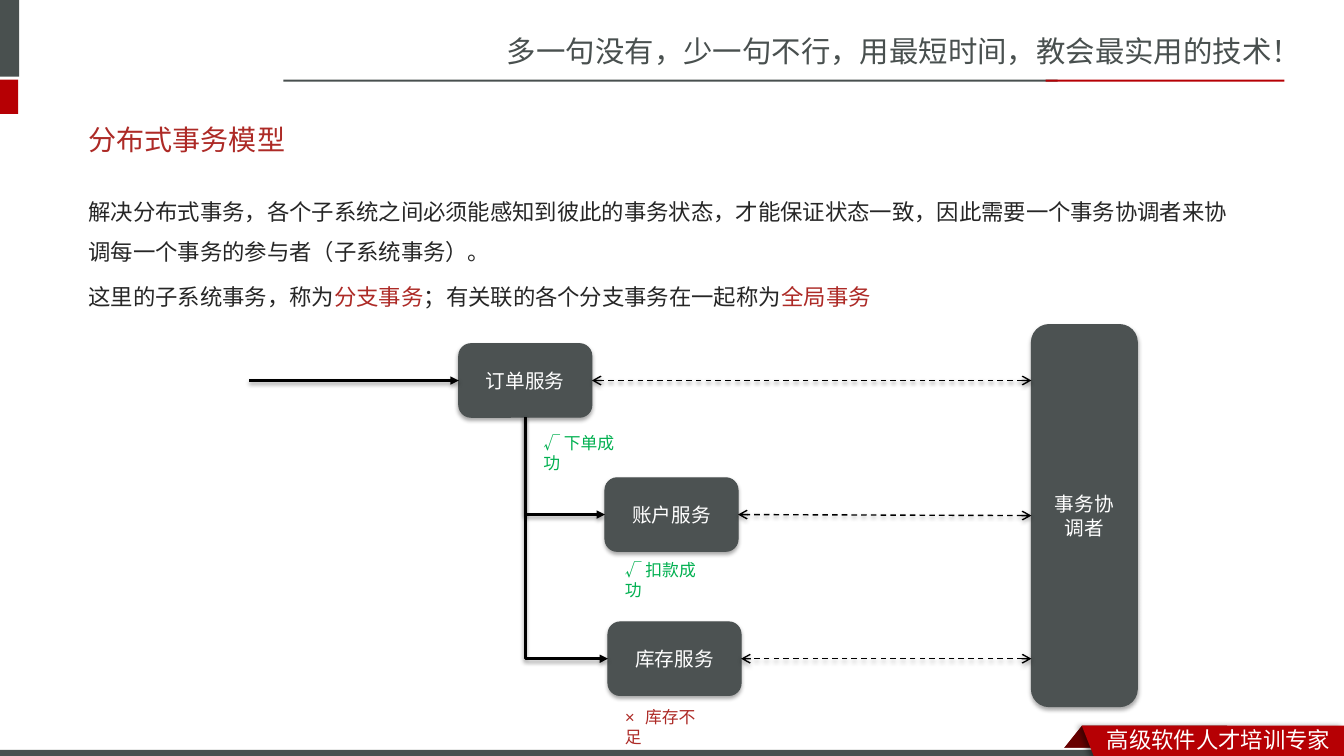
from typing import NamedTuple

from lxml.etree import SubElement
from pptx import Presentation
from pptx.dml.color import RGBColor
from pptx.enum.dml import MSO_LINE
from pptx.enum.shapes import MSO_CONNECTOR, MSO_SHAPE
from pptx.enum.text import MSO_ANCHOR, PP_ALIGN
from pptx.oxml.ns import qn
from pptx.util import Inches, Pt

WHITE = RGBColor(0xFF, 0xFF, 0xFF)
BLACK = RGBColor(0, 0, 0)
SLATE = RGBColor(0x49, 0x50, 0x4F)
STEEL = RGBColor(0x4C, 0x52, 0x52)
RED = RGBColor(0xB6, 0x00, 0x04)
DARK = RGBColor(0x68, 0x00, 0x00)
BRICK = RGBColor(0xAD, 0x2A, 0x26)
GREEN = RGBColor(0x00, 0xB0, 0x50)
INK = RGBColor(0x26, 0x26, 0x26)
SANS, SANS_JP = "Noto Sans CJK SC", "Noto Sans CJK JP"
MONO = "Courier New"


class Box(NamedTuple):
    left: float
    top: float
    width: float
    height: float

    @property
    def right(self) -> float:
        return self.left + self.width

    @property
    def mid(self) -> float:
        return self.top + self.height / 2

    def emu(self) -> list:
        return [Inches(v) for v in self]


class Bar(NamedTuple):
    box: Box
    color: RGBColor


class Label(NamedTuple):
    text: str
    box: Box
    size: int
    font: str
    color: RGBColor


class Node(NamedTuple):
    text: str
    box: Box


BARS = [
    Bar(Box(0, 7.42, 13.33, 0.11), WHITE),
    Bar(Box(-0.06, 0, 0.25, 0.76), SLATE),
    Bar(Box(-0.06, 0.79, 0.24, 0.34), RED),
    Bar(Box(2.81, 0.79, 7.68, 0.02), SLATE),
    Bar(Box(10.37, 0.79, 2.37, 0.02), RED),
    Bar(Box(0, 7.44, 10.99, 0.09), SLATE),
]
LABELS = [
    Label("多一句没有，少一句不行，用最短时间，教会最实用的技术！",
          Box(4.93, 0.28, 8.41, 0.47), 21, SANS, SLATE),
    Label("高级软件人才培训专家", Box(10.88, 7.15, 2.45, 0.37), 16, SANS, WHITE),
    Label("√ 下单成功", Box(5.29, 4.24, 1.06, 0.3), 12, MONO, GREEN),
    Label("√ 扣款成功", Box(6.1, 5.5, 1.06, 0.3), 12, MONO, GREEN),
    Label("× 库存不足", Box(6.1, 6.96, 1.06, 0.3), 12, MONO, BRICK),
]
NODES = [
    Node("订单服务", Box(4.55, 3.41, 1.32, 0.73)),
    Node("账户服务", Box(6, 4.74, 1.32, 0.73)),
    Node("库存服务", Box(6.03, 6.17, 1.32, 0.73)),
]
CHIEF = Node("事务协调者", Box(10.23, 3.22, 1.05, 3.79))
BODY = [
    [("解决分布式事务，各个子系统之间必须能感知到彼此的事务状态，才能保证状态一致，"
      "因此需要一个事务协调者来协调每一个事务的参与者（子系统事务）。", INK)],
    [("这里的子系统事务，称为", INK), ("分支事务", BRICK),
     ("；有关联的各个分支事务在一起称为", INK), ("全局事务", BRICK)],
]


def add_run(par, text: str, size: int, font: str, color: RGBColor) -> None:
    run = par.add_run()
    run.text = text
    run.font.size = Pt(size)
    run.font.name = font
    run.font.color.rgb = color
    east = font if font in (SANS, SANS_JP) else SANS
    SubElement(run.font._element, qn("a:ea"), typeface=east)


def add_shade(props, alpha: int, blur: float, dist: float, angle: int = 90) -> None:
    effects = props.find(qn("a:effectLst"))
    if effects is None:
        effects = SubElement(props, qn("a:effectLst"))
    outer = SubElement(effects, qn("a:outerShdw"), blurRad=str(Pt(blur)),
                       dist=str(Pt(dist)), dir=str(angle * 60000),
                       rotWithShape="0")
    tint = SubElement(outer, qn("a:srgbClr"), val="000000")
    SubElement(tint, qn("a:alpha"), val=str(alpha * 1000))


def paint(shape, color: RGBColor) -> None:
    shape.shadow.inherit = False
    shape.fill.solid()
    shape.fill.fore_color.rgb = color
    shape.line.fill.background()


def add_text(shapes, box: Box):
    frame = shapes.add_textbox(*box.emu()).text_frame
    frame.word_wrap = True
    return frame


def add_node(shapes, node: Node):
    shape = shapes.add_shape(MSO_SHAPE.ROUNDED_RECTANGLE, *node.box.emu())
    paint(shape, STEEL)
    shape.line.color.rgb = STEEL
    shape.line.width = Pt(0.75)
    add_shade(shape._element.spPr, 35, 3.1, 1.8)
    frame = shape.text_frame
    frame.word_wrap = True
    frame.vertical_anchor = MSO_ANCHOR.MIDDLE
    par = frame.paragraphs[0]
    par.alignment = PP_ALIGN.CENTER
    add_run(par, node.text, 14, MONO, WHITE)
    return shape


def add_link(shapes, kind, start: tuple, end: tuple, dashed: bool = False):
    link = shapes.add_connector(kind, *[Inches(v) for v in start + end])
    link.line.color.rgb = BLACK
    link.line.width = Pt(1 if dashed else 2)
    if dashed:
        link.line.dash_style = MSO_LINE.DASH
    stroke = link.line._get_or_add_ln()
    if dashed:
        SubElement(stroke, qn("a:headEnd"), type="arrow")
    SubElement(stroke, qn("a:tailEnd"), type="arrow" if dashed else "triangle")
    add_shade(link._element.spPr, 38, 3.1, 1.6)
    return link


def add_branch(shapes, source, target) -> None:
    """Run down from the source's bottom, then right to the target."""
    x, y = source.left + source.width // 2, source.top + source.height
    wide, tall = target.left - x, target.top + target.height // 2 - y
    link = add_link(shapes, MSO_CONNECTOR.ELBOW, (0, 0), (1, 1))
    link.begin_connect(source, 2)
    link.end_connect(target, 1)
    link.left, link.top = x + (wide - tall) // 2, y + (tall - wide) // 2
    link.width, link.height = tall, wide
    props = link._element.spPr
    props.find(qn("a:prstGeom")).set("prst", "bentConnector2")
    frame = props.find(qn("a:xfrm"))
    frame.set("rot", str(270 * 60000))
    frame.set("flipH", "1")


def main() -> None:
    deck = Presentation()
    deck.slide_width, deck.slide_height = Inches(13.33), Inches(7.5)
    slide = deck.slides.add_slide(deck.slide_layouts[5])
    shapes = slide.shapes

    # Frame bars and footer ribbon
    fold = shapes.add_shape(MSO_SHAPE.PARALLELOGRAM,
                            *Box(10.49, 7.2, 1.68, 0.3).emu())
    fold.adjustments[0] = 0.8
    paint(fold, DARK)
    for bar in BARS:
        paint(shapes.add_shape(MSO_SHAPE.RECTANGLE, *bar.box.emu()), bar.color)
    pen = shapes.build_freeform(Inches(10.73), Inches(7.2))
    pen.add_line_segments([(Inches(x), Inches(y)) for x, y in
                           [(13.33, 7.2), (13.33, 7.54), (10.86, 7.53)]])
    ribbon = pen.convert_to_shape()
    paint(ribbon, RED)
    add_shade(ribbon._element.spPr, 40, 4, 3, 180)

    # Title
    title = shapes.title
    title.left, title.top, title.width, title.height = Box(0.78, 1.1, 11.7, 0.57).emu()
    title.text_frame.vertical_anchor = MSO_ANCHOR.MIDDLE
    par = title.text_frame.paragraphs[0]
    par.alignment = PP_ALIGN.LEFT
    add_run(par, "分布式事务模型", 20, "Arial", BRICK)

    # Services, coordinator and links
    order, *others = nodes = [add_node(shapes, node) for node in NODES]
    chief = add_node(shapes, CHIEF)
    mid = NODES[0].box.mid
    entry = add_link(shapes, MSO_CONNECTOR.STRAIGHT, (2.47, mid), (4.55, mid))
    entry.end_connect(order, 1)
    for other in others:
        add_branch(shapes, order, other)
    for node, shape in zip(NODES, nodes):
        mid = node.box.mid
        link = add_link(shapes, MSO_CONNECTOR.STRAIGHT, (CHIEF.box.left, mid),
                        (node.box.right, mid), True)
        if abs(mid - CHIEF.box.mid) < 0.02:
            link.begin_connect(chief, 1)
        link.end_connect(shape, 3)

    # Labels and body text
    for label in LABELS:
        par = add_text(shapes, label.box).paragraphs[0]
        add_run(par, label.text, label.size, label.font, label.color)
    frame = add_text(shapes, Box(0.78, 1.78, 11.7, 3.79))
    for index, runs in enumerate(BODY):
        par = frame.add_paragraph() if index else frame.paragraphs[0]
        par.line_spacing = 1.5
        if index:
            par.space_before = Pt(3.2)
        for text, color in runs:
            add_run(par, text, 16, SANS_JP, color)
    deck.save("out.pptx")


if __name__ == "__main__":
    main()
